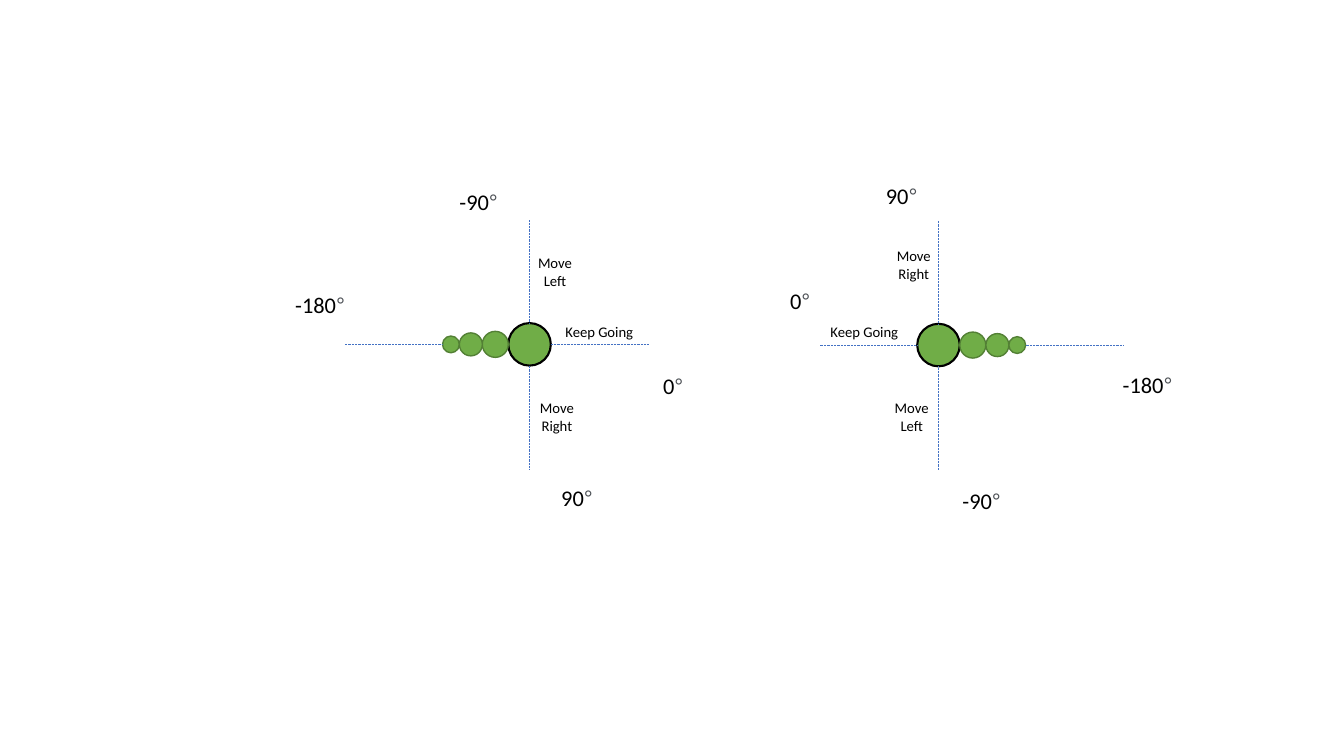
import pptx
import pptx.dml.color
import pptx.enum.dml
import pptx.enum.shapes
import pptx.enum.text
import pptx.oxml
import pptx.util
from pptx.util import Pt

RGBColor = pptx.dml.color.RGBColor
BLACK = RGBColor(0x00, 0x00, 0x00)
BODY_GREEN = RGBColor(0x70, 0xAD, 0x47)
EDGE_GREEN = RGBColor(0x53, 0x80, 0x35)
AXIS_BLUE = RGBColor(0x44, 0x72, 0xC4)
DEGREE_GREY = RGBColor(0x4D, 0x51, 0x56)

NO_EFFECTS = ('<a:effectLst xmlns:a='
              '"http://schemas.openxmlformats.org/drawingml/2006/main"/>')

deck = pptx.Presentation()
deck.slide_width, deck.slide_height = Pt(960), Pt(540)
slide = deck.slides.add_slide(deck.slide_layouts[6])


def add_label(left, top, width, height, lines, size, align, wrap):
    """Each line is a list of (text, font, colour) runs."""
    label = slide.shapes.add_textbox(Pt(left), Pt(top), Pt(width), Pt(height))
    frame = label.text_frame
    frame.word_wrap = wrap
    frame.auto_size = pptx.enum.text.MSO_AUTO_SIZE.SHAPE_TO_FIT_TEXT
    for number, runs in enumerate(lines):
        paragraph = frame.add_paragraph() if number else frame.paragraphs[0]
        paragraph.alignment = align
        for text, font, colour in runs:
            run = paragraph.add_run()
            run.text = text
            run.font.name = font
            run.font.size = Pt(size)
            run.font.color.rgb = colour


# Caterpillars: head first, each segment touching the one before
DIAMETERS = [30.4, 18.6, 16.4, 12]
HEAD_RADIUS = DIAMETERS[0] / 2
TAIL_END = sum(DIAMETERS) - HEAD_RADIUS
AXIS_LENGTH = 69.6
UP_DOWN_REACH = 88.8

# (head x, head y, facing: 1 is right, -1 is left)
for head_x, head_y, facing in [(378.3, 246), (670.4, 246.5)] and [
        (378.3, 246, 1), (670.4, 246.5, -1)]:
    caterpillar = slide.shapes.add_group_shape()

    distance = -HEAD_RADIUS
    for index, diameter in enumerate(DIAMETERS):
        radius = diameter / 2
        centre_x = head_x - facing * (distance + radius)
        segment = caterpillar.shapes.add_shape(
            pptx.enum.shapes.MSO_SHAPE.OVAL, Pt(centre_x - radius),
            Pt(head_y - radius), Pt(diameter), Pt(diameter))
        segment.shadow.inherit = False
        segment.fill.solid()
        segment.fill.fore_color.rgb = BODY_GREEN
        segment.line.color.rgb = EDGE_GREEN if index else BLACK
        segment.line.width = Pt(1 if index else 1.5)
        distance += diameter

    # Dotted axes ahead, behind, above and below, as offsets from the head
    ahead = facing * HEAD_RADIUS
    behind = -facing * TAIL_END
    for x1, y1, x2, y2 in [
        (ahead, 0, ahead + facing * AXIS_LENGTH, 0),
        (behind, 0, behind - facing * AXIS_LENGTH, 0),
        (0, -UP_DOWN_REACH, 0, -HEAD_RADIUS),
        (0, HEAD_RADIUS, 0, UP_DOWN_REACH),
    ]:
        axis = caterpillar.shapes.add_connector(
            pptx.enum.shapes.MSO_CONNECTOR.STRAIGHT,
            Pt(head_x + x1), Pt(head_y + y1), Pt(head_x + x2), Pt(head_y + y2))
        axis.line.color.rgb = AXIS_BLUE
        axis.line.width = Pt(0.5)
        axis.line.dash_style = pptx.enum.dml.MSO_LINE.ROUND_DOT
        axis._element.spPr.append(pptx.oxml.parse_xml(NO_EFFECTS))

# Angles at the ends of the axes
for angle, left, top, width in [
    ("0", 466.6, 262, 29.5),
    ("90", 393.8, 342, 37.4),
    ("-180", 203.8, 204.5, 50.4),
    ("-90", 321.1, 131, 42.5),
    ("0", 557.3, 201.6, 29.5),
    ("-90", 680.4, 344.2, 42.5),
    ("-180", 794.9, 261.4, 50.4),
    ("90", 625.7, 126.7, 37.4),
]:
    add_label(left, top, width, 26.6,
              [[(angle, "Calibri", BLACK), ("°", "Arial", DEGREE_GREY)]],
              16, pptx.enum.text.PP_ALIGN.LEFT, False)

# Moves between the axes
for words, left, top, width, height, wrap in [
    (["Move", "Left"], 631.4, 281.5, 39.6, 32.4, False),
    (["Move", "Right"], 632.9, 172.8, 39.6, 32.4, False),
    (["Keep Going"], 562.3, 226.8, 110.2, 20.2, True),
    (["Keep Going"], 373, 226.8, 110.2, 20.2, True),
    (["Move", "Left"], 376.6, 177.8, 39.6, 32.4, False),
    (["Move", "Right"], 378, 281.5, 39.6, 32.4, False),
]:
    add_label(left, top, width, height,
              [[(word, "Calibri", BLACK)] for word in words],
              10.5, pptx.enum.text.PP_ALIGN.CENTER, wrap)

deck.save("out.pptx")
